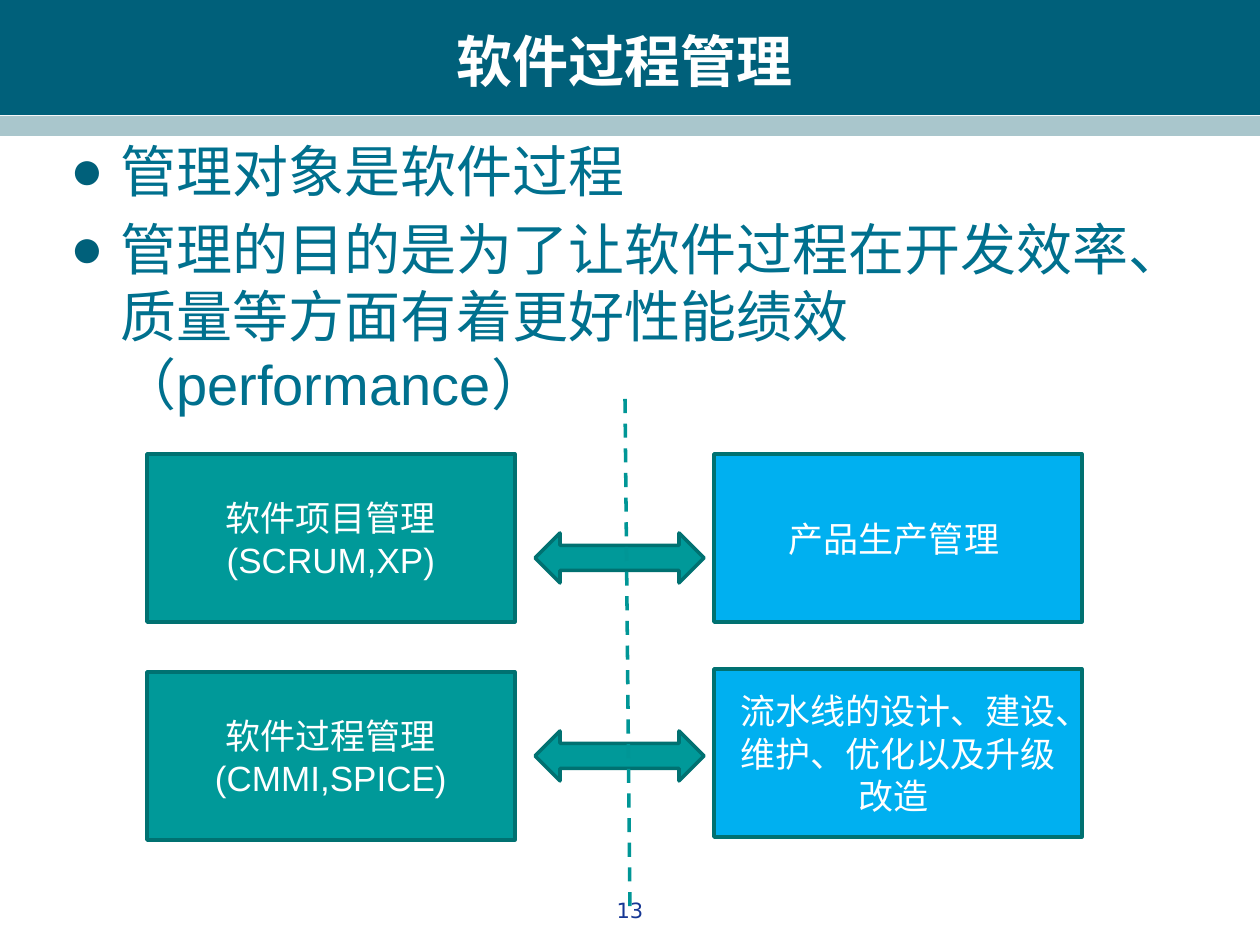
from lxml import etree
from pptx import Presentation, util as u
from pptx.dml.color import RGBColor
from pptx.enum import dml, shapes, text
from pptx.oxml.ns import qn

PX = 914400 / 126
TEAL, BLUE, EDGE = "009999", "00B0F0", "007171"

BANDS = [(0, 115, "00607A"), (116, 20, "A9C6CC")]  # top, height, fill
TITLE = "软件过程管理"
POINTS = [
    "管理对象是软件过程",
    "管理的目的是为了让软件过程在开发效率、质量等方面有着更好性能绩效（performance）",
]
PAGE = "13"
BOX_W, BOX_H = 368, 168
BOXES = [  # left, top, fill, label
    (147, 454, TEAL, "软件项目管理(SCRUM,XP)"),
    (147, 672, TEAL, "软件过程管理(CMMI,SPICE)"),
    (714, 454, BLUE, "产品生产管理 "),
    (714, 669, BLUE, "流水线的设计、建设、维护、优化以及升级改造 "),
]
ARROWS = [533, 731]  # tops
DIVIDER = (625, 399, 630, 912)


def emu(*nums):
    return [round(n * PX) for n in nums]


def rgb(code):
    return RGBColor.from_string(code)


def style(par, size, color, font="Arial", bold=False, align=text.PP_ALIGN.CENTER):
    par.font.size = u.Pt(size)
    par.font.name = font
    par.font.bold = bold
    par.font.color.rgb = rgb(color)
    par.alignment = align


def add_shape(kind, area, fill, edge=None):
    shape = slide.shapes.add_shape(kind, *emu(*area))
    shape.shadow.inherit = False
    shape.fill.solid()
    shape.fill.fore_color.rgb = rgb(fill)
    if edge:
        shape.line.color.rgb = rgb(edge)
        shape.line.width = u.Pt(2)
    else:
        shape.line.fill.background()
    return shape


def add_text(area, anchor=text.MSO_ANCHOR.TOP):
    frame = slide.shapes.add_textbox(*emu(*area)).text_frame
    frame.word_wrap = True
    frame.vertical_anchor = anchor
    return frame


def add_bullet(par, char, color, indent):
    props = par._p.get_or_add_pPr()
    props.set("marL", str(indent))
    props.set("indent", str(-indent))
    tint = etree.SubElement(props, qn("a:buClr"))
    etree.SubElement(tint, qn("a:srgbClr"), val=color)
    etree.SubElement(props, qn("a:buFont"), typeface="Arial")
    etree.SubElement(props, qn("a:buChar"), char=char)


deck = Presentation()
deck.slide_width, deck.slide_height = emu(1260, 945)
slide = deck.slides.add_slide(deck.slide_layouts[6])
RECT = shapes.MSO_SHAPE.RECTANGLE

for top, height, fill in BANDS:
    add_shape(RECT, (0, top, 1260, height), fill)

title = add_text((42, 21, 1166, 78), text.MSO_ANCHOR.MIDDLE)
title.text = TITLE
style(title.paragraphs[0], 32, "FFFFFF", "DejaVu Sans", bold=True)

body = add_text((58, 130, 1134, 286))
body.text = "\n".join(POINTS)
for par in body.paragraphs:
    style(par, 32, "00708E", align=text.PP_ALIGN.LEFT)
    par.space_before = u.Pt(6.4)
    add_bullet(par, "●", "00607A", emu(50)[0])

page = add_text((483, 891, 294, 44))
page.text = PAGE
style(page.paragraphs[0], 12, "163794", "DejaVu Sans")

for left, top, fill, label in BOXES:
    frame = add_shape(RECT, (left, top, BOX_W, BOX_H), fill, EDGE).text_frame
    frame.word_wrap = True
    frame.vertical_anchor = text.MSO_ANCHOR.MIDDLE
    frame.text = label
    style(frame.paragraphs[0], 20, "FFFFFF")

for top in ARROWS:
    add_shape(shapes.MSO_SHAPE.LEFT_RIGHT_ARROW, (535, top, 169, 50), TEAL, EDGE)

line = slide.shapes.add_connector(shapes.MSO_CONNECTOR.STRAIGHT, *emu(*DIVIDER))
line.line.color.rgb = rgb("009696")
line.line.width = u.Pt(2)
line.line.dash_style = dml.MSO_LINE.DASH
etree.SubElement(line._element.spPr, qn("a:effectLst"))

deck.save("out.pptx")
